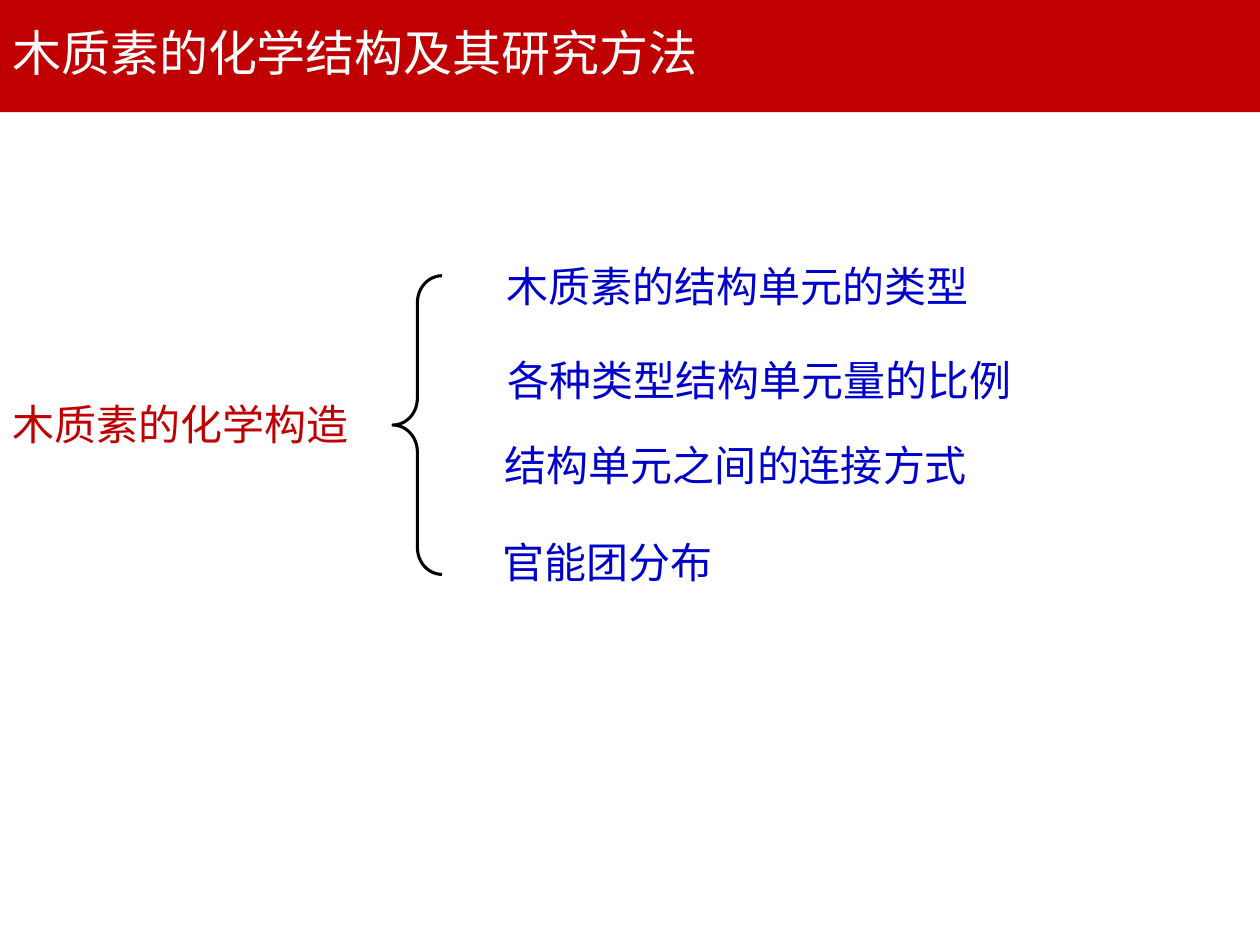
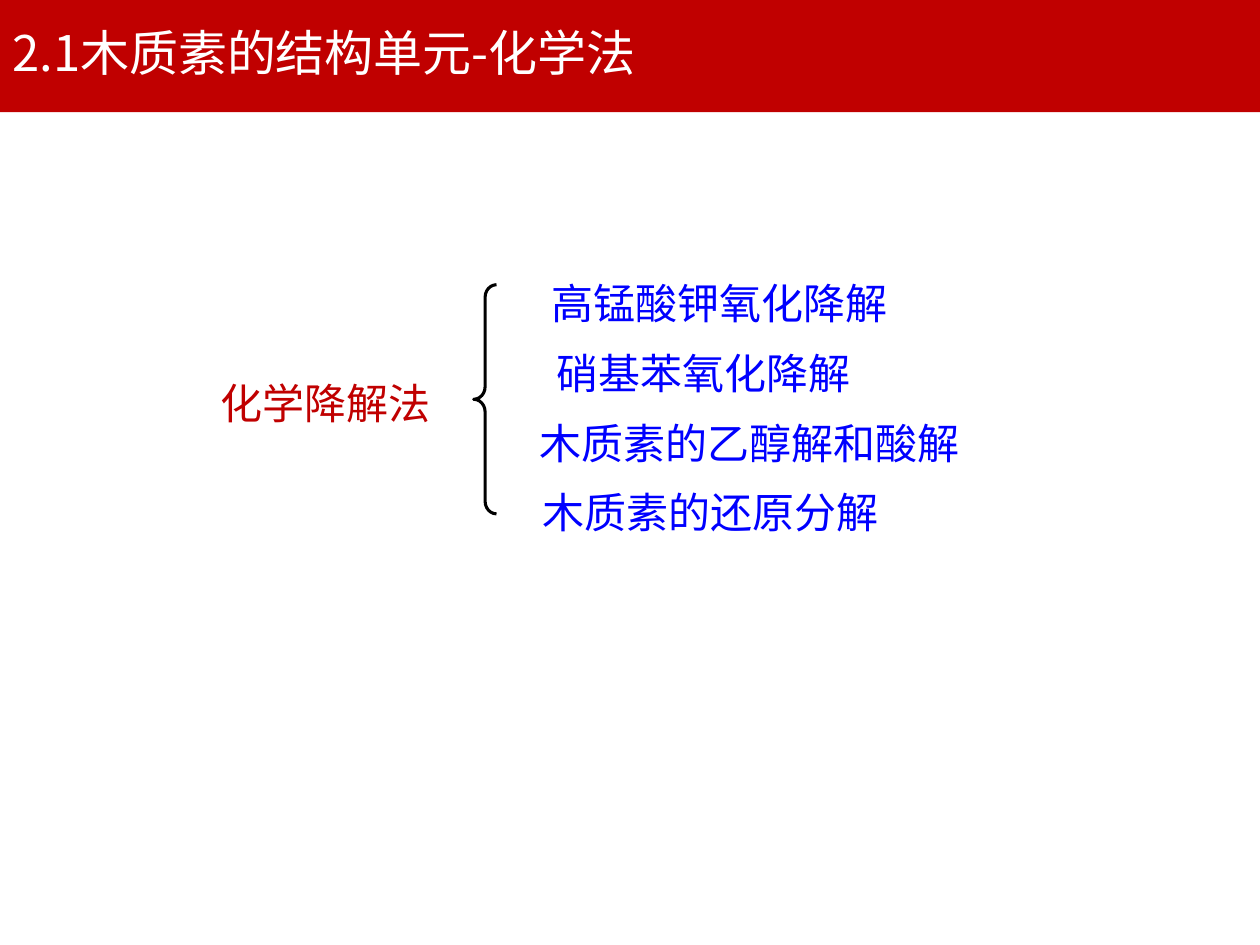
from typing import NamedTuple

from pptx import Presentation
from pptx.dml.color import RGBColor
from pptx.enum.shapes import MSO_SHAPE
from pptx.enum.text import MSO_ANCHOR
from pptx.oxml.ns import qn
from pptx.util import Cm, Pt

RECTANGLE = MSO_SHAPE.RECTANGLE
LEFT_BRACE = MSO_SHAPE.LEFT_BRACE
MIDDLE = MSO_ANCHOR.MIDDLE

FONT = "Noto Sans CJK SC"
RED = "C00000"
WHITE = "FFFFFF"
BLACK = "000000"
DARK_BLUE = "0000CC"
BLUE = "0000FF"

SLIDE_WIDTH, SLIDE_HEIGHT = 25.4, 19.05
BAND_HEIGHT = 2.26
TITLE_SIZE, BODY_SIZE = 28, 24
LABEL_HEIGHT = 1.27
CHARACTER_WIDTH = 0.855
SIDE_INSETS = 0.51
CURL = 0.548


class Box(NamedTuple):
    """Left, top, width and height in centimetres."""
    left: float
    top: float
    width: float
    height: float

    def lengths(self) -> list[Cm]:
        return [Cm(value) for value in self]


class Label(NamedTuple):
    text: str
    left: float
    top: float


class BraceSlide(NamedTuple):
    title: str
    topic: Label
    brace: Box
    branches: list[Label]
    branch_color: str


BRACE_SLIDES = [
    BraceSlide(
        "木质素的化学结构及其研究方法",
        Label("木质素的化学构造", 0, 7.9),
        Box(7.92, 5.56, 0.99, 6.02),
        [
            Label("木质素的结构单元的类型", 9.96, 5.13),
            Label("各种类型结构单元量的比例", 9.98, 7.01),
            Label("结构单元之间的连接方式", 9.93, 8.74),
            Label("官能团分布", 9.88, 10.69),
        ],
        DARK_BLUE,
    ),
    BraceSlide(
        "2.1木质素的结构单元-化学法",
        Label("化学降解法", 4.19, 7.49),
        Box(9.55, 5.74, 0.46, 4.62),
        [
            Label("高锰酸钾氧化降解", 10.87, 5.46),
            Label("硝基苯氧化降解", 10.97, 6.88),
            Label("木质素的乙醇解和酸解", 10.62, 8.28),
            Label("木质素的还原分解", 10.69, 9.68),
        ],
        BLUE,
    ),
]


def rgb(color: str) -> RGBColor:
    return RGBColor.from_string(color)


def add_text(slide, text: str, box: Box, size: int, color: str, wrap: bool = False) -> None:
    frame = slide.shapes.add_textbox(*box.lengths()).text_frame
    frame.word_wrap = wrap
    frame.vertical_anchor = MIDDLE
    paragraph = frame.paragraphs[0]
    paragraph.text = text
    run_font = paragraph.runs[0].font
    run_font.name = FONT
    run_font.size = Pt(size)
    run_font.color.rgb = rgb(color)
    # The East Asian typeface has no public setter.
    properties = paragraph.runs[0]._r.get_or_add_rPr()
    east_asian = properties.makeelement(qn("a:ea"), {"typeface": FONT})
    properties.find(qn("a:latin")).addnext(east_asian)


def add_label(slide, label: Label, color: str) -> None:
    """Add one line of body text in a box as wide as its characters."""
    width = len(label.text) * CHARACTER_WIDTH + SIDE_INSETS
    box = Box(label.left, label.top, width, LABEL_HEIGHT)
    add_text(slide, label.text, box, BODY_SIZE, color)


def add_title_band(slide, title: str) -> None:
    band = slide.shapes.add_shape(RECTANGLE, *Box(0, 0, SLIDE_WIDTH, BAND_HEIGHT).lengths())
    band.shadow.inherit = False
    band.fill.solid()
    band.fill.fore_color.rgb = rgb(RED)
    band.line.fill.background()
    add_text(slide, title, Box(0, 0.33, 25.1, 1.45), TITLE_SIZE, WHITE, wrap=True)


def add_brace(slide, box: Box) -> None:
    brace = slide.shapes.add_shape(LEFT_BRACE, *box.lengths())
    brace.shadow.inherit = False
    brace.adjustments[0] = CURL
    brace.fill.background()
    brace.line.color.rgb = rgb(BLACK)
    brace.line.width = Pt(1.75)


def add_brace_slide(presentation, content: BraceSlide) -> None:
    slide = presentation.slides.add_slide(presentation.slide_layouts[6])
    add_title_band(slide, content.title)
    add_label(slide, content.topic, RED)
    for branch in content.branches:
        add_label(slide, branch, content.branch_color)
    add_brace(slide, content.brace)


def main() -> None:
    presentation = Presentation()
    presentation.slide_width = Cm(SLIDE_WIDTH)
    presentation.slide_height = Cm(SLIDE_HEIGHT)
    for content in BRACE_SLIDES:
        add_brace_slide(presentation, content)
    presentation.save("out.pptx")


if __name__ == "__main__":
    main()
